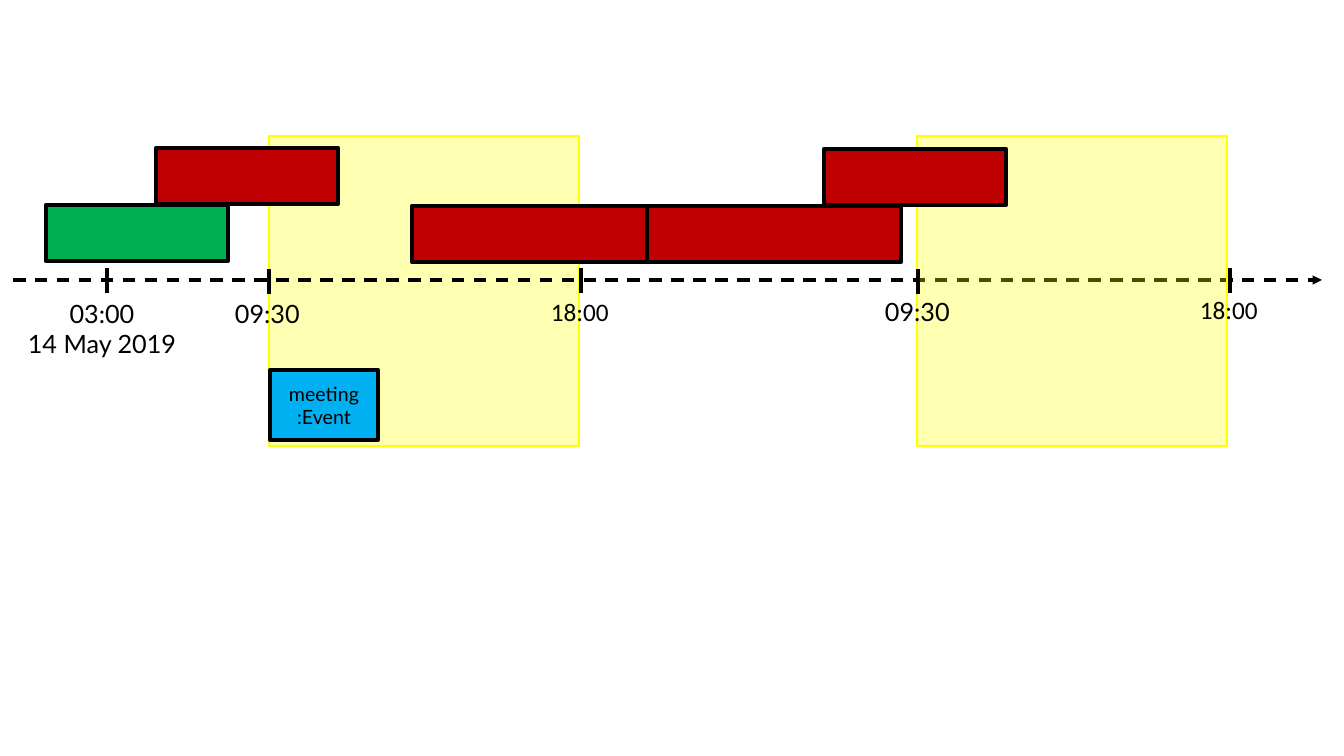
from lxml.etree import SubElement
from pptx import Presentation
from pptx.dml.color import RGBColor
from pptx.enum.dml import MSO_LINE
from pptx.enum.shapes import MSO_CONNECTOR, MSO_SHAPE
from pptx.enum.text import MSO_ANCHOR, MSO_AUTO_SIZE, PP_ALIGN
from pptx.oxml.ns import qn
from pptx.util import Pt

BLACK = RGBColor(0x00, 0x00, 0x00)
YELLOW = RGBColor(0xFF, 0xFF, 0x00)
GREEN = RGBColor(0x00, 0xB0, 0x50)
RED = RGBColor(0xC0, 0x00, 0x00)
BLUE = RGBColor(0x00, 0xB0, 0xF0)

EMU_PER_PIXEL = 914400 / 100.8
SLIDE_SIZE = (1344, 756)

AXIS = (13, 1322, 280)  # left, right, y
TICK_HEIGHT = 25
TICKS = [(107, 268), (269, 269), (581, 268), (918, 269), (1230, 268)]  # x, top

WORKDAY_LEFTS = (269, 917)
WORKDAY_TOP, WORKDAY_SIDE = 136, 310

BAR_HEIGHT = 56
BARS = [  # left, top, width, colour
    (46, 205, 182, GREEN),
    (156, 148, 182, RED),
    (412, 206, 237, RED),
    (824, 149, 182, RED),
    (647, 206, 254, RED),
]

LABELS = [  # lines, font, left, top, width, height
    (["09:30"], "Lato", 225, 293, 86, 40),
    (["18:00"], "Calibri", 541, 291, 79, 40),
    (["03:00", "14 May 2019"], "Lato", 16, 293, 172, 72),
    (["09:30"], "Lato", 875, 291, 86, 40),
    (["18:00"], "Calibri", 1190, 289, 79, 40),
]

EVENT_LINES = ["meeting", ":Event"]
EVENT_BOX = (270, 370, 108, 70)


def emu(*pixels):
    """Turn pixel lengths into EMU."""
    return [round(pixel * EMU_PER_PIXEL) for pixel in pixels]


def apply_format(target, values):
    """Set each attribute named in a dict of format values."""
    for name, value in values.items():
        setattr(target, name, value)


def add_rectangle(slide, box, fill, line, weight, opacity=None):
    """Add a filled, outlined rectangle, translucent if opacity is given."""
    shape = slide.shapes.add_shape(MSO_SHAPE.RECTANGLE, *emu(*box))
    shape.shadow.inherit = False
    shape.fill.solid()
    shape.fill.fore_color.rgb = fill
    shape.line.color.rgb = line
    shape.line.width = Pt(weight)
    if opacity is not None:
        colour = shape.fill._xPr.find(qn("a:solidFill"))[0]
        SubElement(colour, qn("a:alpha"), val=str(opacity * 1000))
    return shape


def add_line(slide, start, end, weight):
    """Add a straight black line without a shadow."""
    connector = slide.shapes.add_connector(
        MSO_CONNECTOR.STRAIGHT, *emu(*start, *end))
    connector.line.color.rgb = BLACK
    connector.line.width = Pt(weight)
    SubElement(connector._element.spPr, qn("a:effectLst"))
    return connector


def add_axis(slide):
    """Add the dashed time axis with its arrowhead."""
    left, right, y = AXIS
    axis = add_line(slide, (left, y), (right, y), 2.25)
    axis.line.dash_style = MSO_LINE.DASH
    SubElement(axis.line._get_or_add_ln(), qn("a:tailEnd"), type="triangle")


def add_workday(slide, left):
    """Add a translucent square marking one working day."""
    box = (left, WORKDAY_TOP, WORKDAY_SIDE, WORKDAY_SIDE)
    add_rectangle(slide, box, YELLOW, YELLOW, 1, opacity=30)


def write_lines(frame, lines, font_name, size, alignment):
    """Write one paragraph per line in black."""
    for index, line in enumerate(lines):
        paragraph = frame.add_paragraph() if index else frame.paragraphs[0]
        paragraph.alignment = alignment
        run = paragraph.add_run()
        run.text = line
        apply_format(run.font, {"name": font_name, "size": Pt(size)})
        run.font.color.rgb = BLACK


def add_label(slide, lines, font_name, *box):
    """Add a time label; labels of several lines are centred."""
    frame = slide.shapes.add_textbox(*emu(*box)).text_frame
    apply_format(frame, {"word_wrap": False,
                         "auto_size": MSO_AUTO_SIZE.SHAPE_TO_FIT_TEXT})
    alignment = PP_ALIGN.CENTER if len(lines) > 1 else PP_ALIGN.LEFT
    write_lines(frame, lines, font_name, 18, alignment)


def build():
    """Build the timeline slide and save it."""
    presentation = Presentation()
    width, height = emu(*SLIDE_SIZE)
    apply_format(presentation, {"slide_width": width, "slide_height": height})
    slide = presentation.slides.add_slide(presentation.slide_layouts[6])

    first_workday, second_workday = WORKDAY_LEFTS
    add_workday(slide, first_workday)
    add_axis(slide)
    add_workday(slide, second_workday)  # this day tints the axis
    for left, top, bar_width, colour in BARS:
        add_rectangle(slide, (left, top, bar_width, BAR_HEIGHT), colour, BLACK, 3)
    for x, top in TICKS:
        add_line(slide, (x, top), (x, top + TICK_HEIGHT), 3)
    for label in LABELS:
        add_label(slide, *label)

    event = add_rectangle(slide, EVENT_BOX, BLUE, BLACK, 3)
    event.text_frame.vertical_anchor = MSO_ANCHOR.MIDDLE
    write_lines(event.text_frame, EVENT_LINES, "Lato", 14, PP_ALIGN.CENTER)
    presentation.save("out.pptx")


build()
